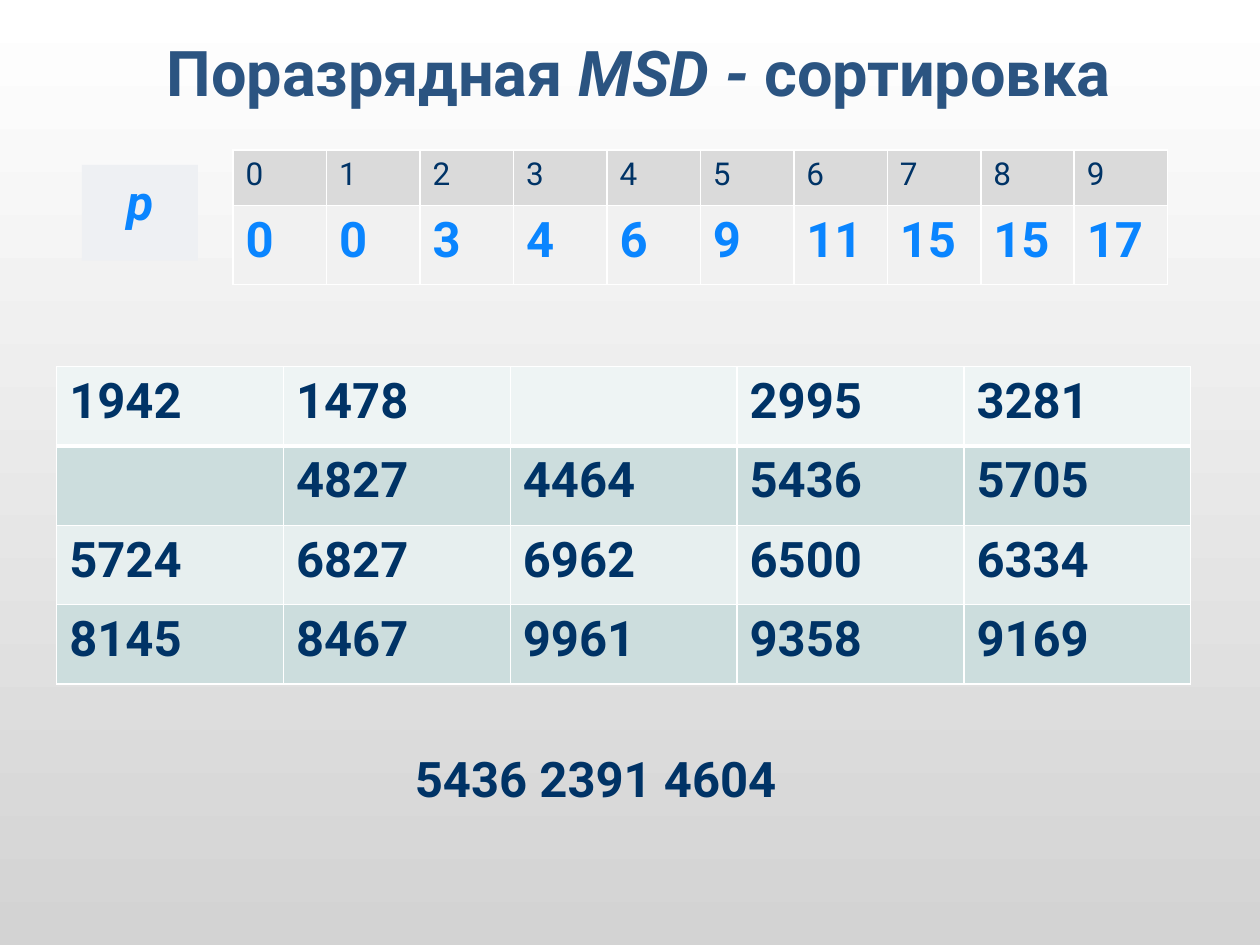
from lxml.etree import SubElement
from pptx import Presentation
from pptx.dml.color import RGBColor
from pptx.enum.shapes import MSO_SHAPE
from pptx.enum.text import MSO_ANCHOR, PP_ALIGN
from pptx.oxml.ns import qn
from pptx.util import Inches, Pt

FONT = "Roboto"
WHITE = RGBColor(0xFF, 0xFF, 0xFF)
GREY = RGBColor(0xD3, 0xD3, 0xD3)
NAVY = RGBColor(0x00, 0x33, 0x66)
TITLE_BLUE = RGBColor(0x2B, 0x54, 0x81)
BRIGHT_BLUE = RGBColor(0x0A, 0x85, 0xFF)
LABEL_FILL = RGBColor(0xEE, 0xF0, 0xF3)
INDEX_FILL = RGBColor(0xDA, 0xDA, 0xDA)
COUNT_FILL = RGBColor(0xF1, 0xF1, 0xF1)
FIRST_FILL = RGBColor(0xEE, 0xF4, 0xF4)
DARK_BAND = RGBColor(0xCC, 0xDD, 0xDD)
LIGHT_BAND = RGBColor(0xE7, 0xEF, 0xEF)

THIN, THICK = 0.96, 3

COUNTS = [0, 0, 3, 4, 6, 9, 11, 15, 15, 17]
NUMBERS = [
    ["1942", "1478", "", "2995", "3281"],
    ["", "4827", "4464", "5436", "5705"],
    ["5724", "6827", "6962", "6500", "6334"],
    ["8145", "8467", "9961", "9358", "9169"],
]


def style(span, size, color, bold=True, italic=False):
    font = span.font
    font.name, font.size = FONT, Pt(size)
    font.bold, font.italic = bold, italic
    font.color.rgb = color


def add_text(page, box, parts, size, color, anchor=MSO_ANCHOR.TOP):
    """Centred line made of (text, italic) parts."""
    frame = page.shapes.add_textbox(*map(Inches, box)).text_frame
    frame.word_wrap = True
    frame.vertical_anchor = anchor
    para = frame.paragraphs[0]
    para.alignment = PP_ALIGN.CENTER
    for text, italic in parts:
        span = para.add_run()
        span.text = text
        style(span, size, color, italic=italic)


def add_label(page, box, text):
    shape = page.shapes.add_shape(MSO_SHAPE.RECTANGLE, *map(Inches, box))
    shape.shadow.inherit = False
    shape.fill.solid()
    shape.fill.fore_color.rgb = LABEL_FILL
    shape.line.fill.background()
    frame = shape.text_frame
    frame.vertical_anchor = MSO_ANCHOR.TOP
    frame.text = text
    para = frame.paragraphs[0]
    para.alignment = PP_ALIGN.CENTER
    style(para.runs[0], 28, BRIGHT_BLUE, italic=True)


def set_borders(cell, top, bottom):
    widths = {"a:lnL": THIN, "a:lnR": THIN, "a:lnT": top, "a:lnB": bottom}
    properties = cell._tc.get_or_add_tcPr()
    for tag, width in widths.items():
        line = SubElement(properties, qn(tag), w=str(Pt(width)))
        fill = SubElement(line, qn("a:solidFill"))
        SubElement(fill, qn("a:srgbClr"), val=str(WHITE))


def add_grid(page, box, rows, heights, fills, fonts, rules):
    """Table with equal columns; rules are the widths of its horizontal lines."""
    columns = len(rows[0])
    table = page.shapes.add_table(len(rows), columns, *map(Inches, box)).table
    for column in table.columns:
        column.width = Inches(box[2] / columns)
    for r, values in enumerate(rows):
        table.rows[r].height = Inches(heights[r])
        size, color, bold = fonts[r]
        for c, value in enumerate(values):
            cell = table.cell(r, c)
            set_borders(cell, rules[r], rules[r + 1])
            cell.fill.solid()
            cell.fill.fore_color.rgb = fills[r]
            cell.text_frame.text = str(value)
            para = cell.text_frame.paragraphs[0]
            for span in para.runs or [para]:
                style(span, size, color, bold)


def main():
    deck = Presentation()
    deck.slide_width, deck.slide_height = Inches(10), Inches(7.5)
    page = deck.slides.add_slide(deck.slide_layouts[6])

    # Background, white at the top to grey at the bottom
    fill = page.background.fill
    fill.gradient()
    fill.gradient_angle = 270
    for stop, color, position in zip(fill.gradient_stops, (WHITE, GREY), (0, 1)):
        stop.color.rgb = color
        stop.position = position

    # Numbers being sorted
    add_grid(page, (0.45, 2.91, 9, 2.52), NUMBERS, [0.63] * 4,
             [FIRST_FILL, DARK_BAND, LIGHT_BAND, DARK_BAND],
             [(28, NAVY, True)] * 4, [THIN, THICK, THIN, THIN, THIN])

    # Title
    add_text(page, (0.57, 0.32, 9, 0.5),
             [("Поразрядная ", False), ("MSD - ", True), ("сортировка", False)],
             36, TITLE_BLUE, MSO_ANCHOR.MIDDLE)

    # Start positions by digit
    add_label(page, (0.65, 1.31, 0.92, 0.76), "p")
    add_grid(page, (1.85, 1.19, 7.42, 1.07), [range(10), COUNTS], [0.44, 0.63],
             [INDEX_FILL, COUNT_FILL],
             [(18, NAVY, False), (28, BRIGHT_BLUE, True)], [THIN] * 3)

    # Numbers left over
    add_text(page, (0, 5.89, 9.55, 0.57), [("5436 2391 4604 ", False)], 28, NAVY)

    deck.save("out.pptx")


if __name__ == "__main__":
    main()
